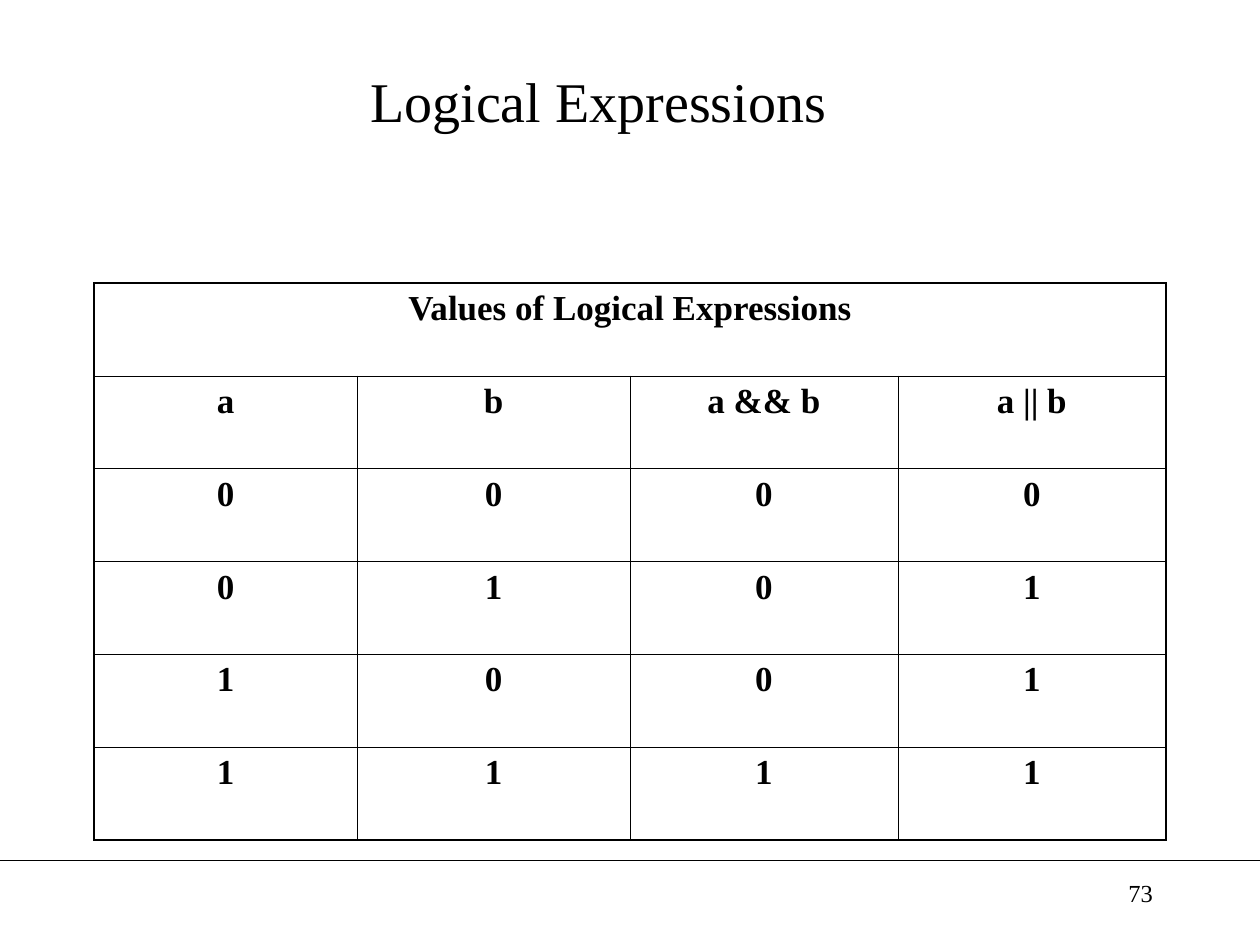
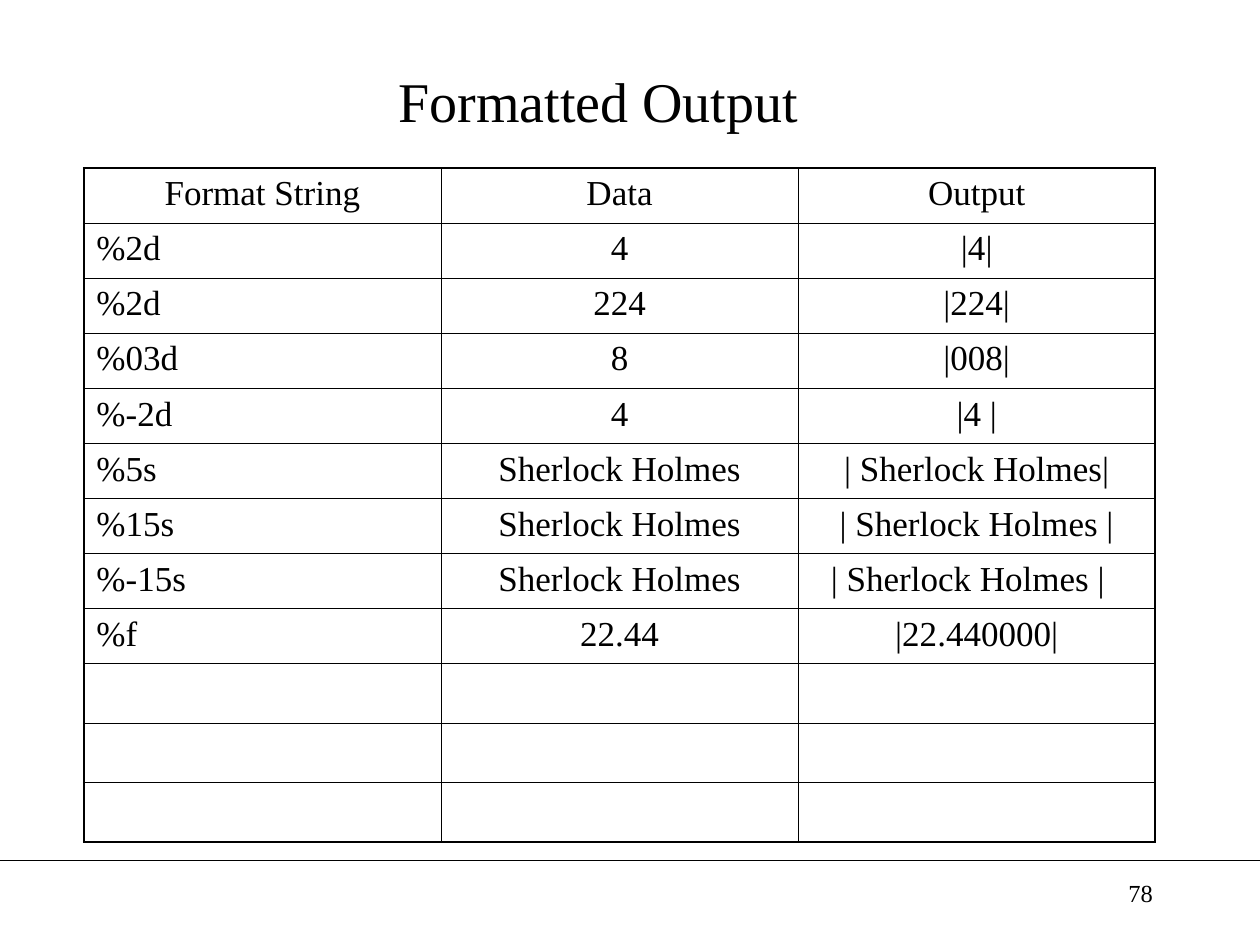
from pptx import Presentation
from pptx.dml.color import RGBColor
from pptx.enum.shapes import MSO_CONNECTOR
from pptx.enum.text import MSO_ANCHOR, PP_ALIGN
from pptx.oxml.ns import qn
from pptx.util import Cm, Pt
from lxml.etree import SubElement

BLACK = RGBColor(0, 0, 0)
WHITE = RGBColor(255, 255, 255)
FONT = "Times New Roman"
SLIDE_WIDTH, SLIDE_HEIGHT = Cm(25.4), Cm(19.05)
TITLE_BOX = (Cm(1.27), Cm(0.64), Cm(21.59), Cm(2.74))
NUMBER_BOX = (Cm(18.21), Cm(17.57), Cm(5.28), Cm(1.27))
FOOTER_TOP = Cm(17.35)
OUTER_LINE, INNER_LINE = Pt(1.08), Pt(0.45)
TRAILING_GAP = Cm(0.61)

LOGIC_HEADING = "Values of Logical Expressions"
LOGIC_ROWS = [("a", "b", "a && b", "a || b")] + [
    (str(a), str(b), str(a & b), str(a | b)) for a in (0, 1) for b in (0, 1)
]
FORMAT_ROWS = [
    ("Format String", "Data", "Output"),
    ("%2d", "4", "|4|"),
    ("%2d", "224", "|224|"),
    ("%03d", "8", "|008|"),
    ("%-2d", "4", "|4 |"),
    ("%5s", "Sherlock Holmes", "| Sherlock Holmes|"),
    ("%15s", "Sherlock Holmes", "| Sherlock Holmes |"),
    ("%-15s", "Sherlock Holmes", "| Sherlock Holmes |"),
    ("%f", "22.44", "|22.440000|"),
]
EMPTY_ROWS = 3


def style_paragraph(paragraph, size, alignment, bold=False):
    paragraph.alignment = alignment
    paragraph.font.name = FONT
    paragraph.font.size = Pt(size)
    paragraph.font.bold = bold
    paragraph.font.color.rgb = BLACK


def add_text(slide, box, text, size, alignment, anchor=MSO_ANCHOR.TOP):
    frame = slide.shapes.add_textbox(*box).text_frame
    frame.word_wrap = True
    frame.vertical_anchor = anchor
    frame.text = text
    style_paragraph(frame.paragraphs[0], size, alignment)


def add_footer(slide, number):
    line = slide.shapes.add_connector(
        MSO_CONNECTOR.STRAIGHT, 0, FOOTER_TOP, SLIDE_WIDTH, FOOTER_TOP
    )
    line.line.color.rgb = BLACK
    line.line.width = Pt(0.75)
    SubElement(line._element.spPr, qn("a:effectLst"))
    add_text(slide, NUMBER_BOX, str(number), 14, PP_ALIGN.RIGHT)


def add_framed_slide(presentation, title, number):
    slide = presentation.slides.add_slide(presentation.slide_layouts[6])
    slide.background.fill.solid()
    slide.background.fill.fore_color.rgb = WHITE
    add_footer(slide, number)
    add_text(slide, TITLE_BOX, title, 32, PP_ALIGN.CENTER, MSO_ANCHOR.MIDDLE)
    return slide


def add_grid(slide, left, top, column_widths, row_heights):
    table = slide.shapes.add_table(
        len(row_heights), len(column_widths), left, top,
        sum(column_widths), sum(row_heights),
    ).table
    table.first_row = table.horz_banding = False
    for column, width in zip(table.columns, column_widths):
        column.width = width
    for row, height in zip(table.rows, row_heights):
        row.height = height
    return table


def fill_cell(cell, text, alignment=PP_ALIGN.CENTER, bold=False):
    cell.text = text
    style_paragraph(cell.text_frame.paragraphs[0], 20, alignment, bold)


def draw_borders(table):
    last_row, last_column = len(table.rows) - 1, len(table.columns) - 1
    for row in range(last_row + 1):
        for column in range(last_column + 1):
            cell = table.cell(row, column)
            width = cell.span_width if cell.is_merge_origin else 1
            outer_sides = {
                "lnL": column == 0,
                "lnR": column + width - 1 == last_column,
                "lnT": row == 0,
                "lnB": row == last_row,
            }
            properties = cell._tc.get_or_add_tcPr()
            for side, is_outer in outer_sides.items():
                if cell.is_spanned and side in ("lnL", "lnR"):
                    continue
                line = SubElement(properties, qn(f"a:{side}"))
                line.set("w", str(OUTER_LINE if is_outer else INNER_LINE))
                fill = SubElement(line, qn("a:solidFill"))
                SubElement(fill, qn("a:srgbClr")).set("val", str(BLACK))
            cell.fill.background()


def add_logic_table(slide, left, top):
    widths = [Cm(width) for width in (5.3, 5.5, 5.4, 5.4)]
    heights = [Cm(1.87)] * (len(LOGIC_ROWS) + 1)
    table = add_grid(slide, left, top, widths, heights)
    table.cell(0, 0).merge(table.cell(0, len(widths) - 1))
    fill_cell(table.cell(0, 0), LOGIC_HEADING, bold=True)
    for row, values in enumerate(LOGIC_ROWS, start=1):
        for column, value in enumerate(values):
            fill_cell(table.cell(row, column), value, bold=True)
    draw_borders(table)


def add_format_table(slide, left, top):
    heights = [Cm(1.11)] * len(FORMAT_ROWS) + [Cm(1.2)] * EMPTY_ROWS
    table = add_grid(slide, left, top, [Cm(7.2)] * 3, heights)
    for row, values in enumerate(FORMAT_ROWS + [("", "", "")] * EMPTY_ROWS):
        for column, value in enumerate(values):
            is_format = row > 0 and column == 0
            alignment = PP_ALIGN.LEFT if is_format else PP_ALIGN.CENTER
            fill_cell(table.cell(row, column), value, alignment)
        if values[0] == "%-15s":
            table.cell(row, 2).margin_right = TRAILING_GAP
    draw_borders(table)


def main():
    presentation = Presentation()
    presentation.slide_width = SLIDE_WIDTH
    presentation.slide_height = SLIDE_HEIGHT
    logic_slide = add_framed_slide(presentation, "Logical Expressions", 73)
    add_logic_table(logic_slide, Cm(1.9), Cm(5.71))
    format_slide = add_framed_slide(presentation, "Formatted Output", 78)
    add_format_table(format_slide, Cm(1.69), Cm(3.39))
    presentation.save("out.pptx")


if __name__ == "__main__":
    main()
